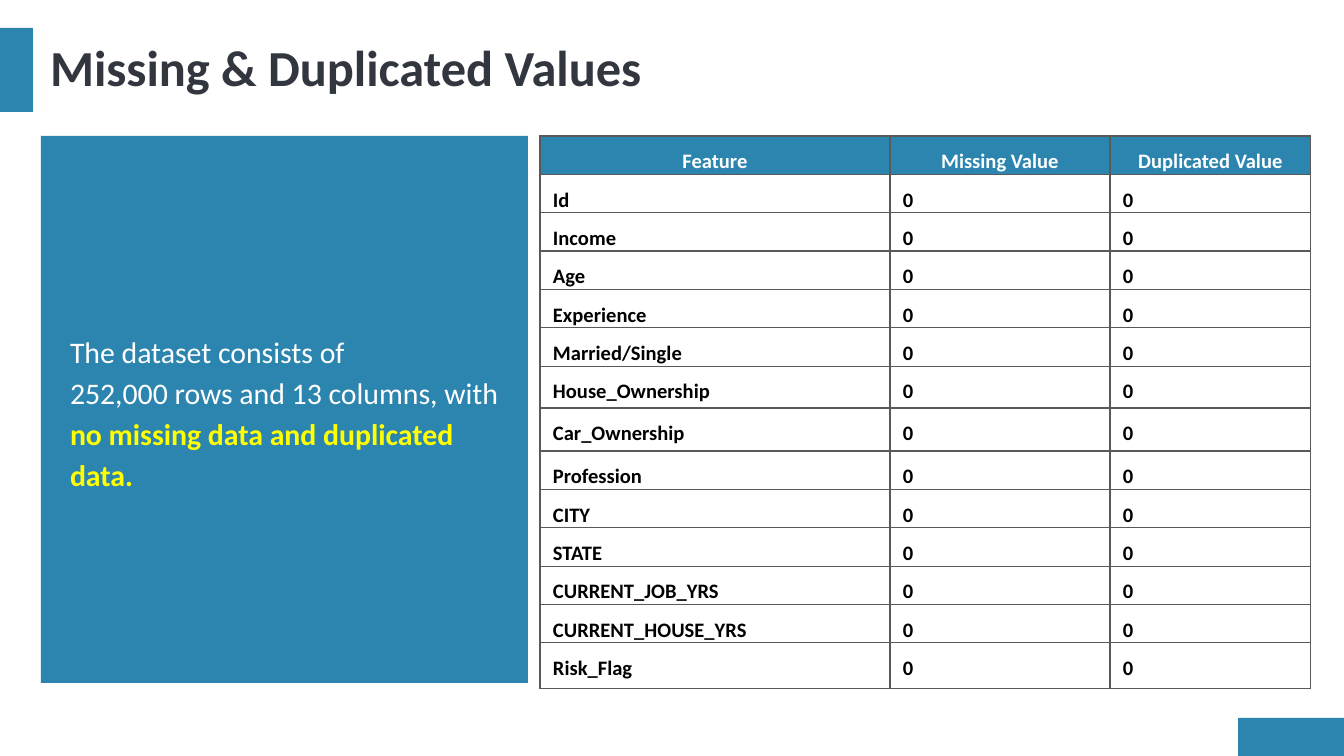
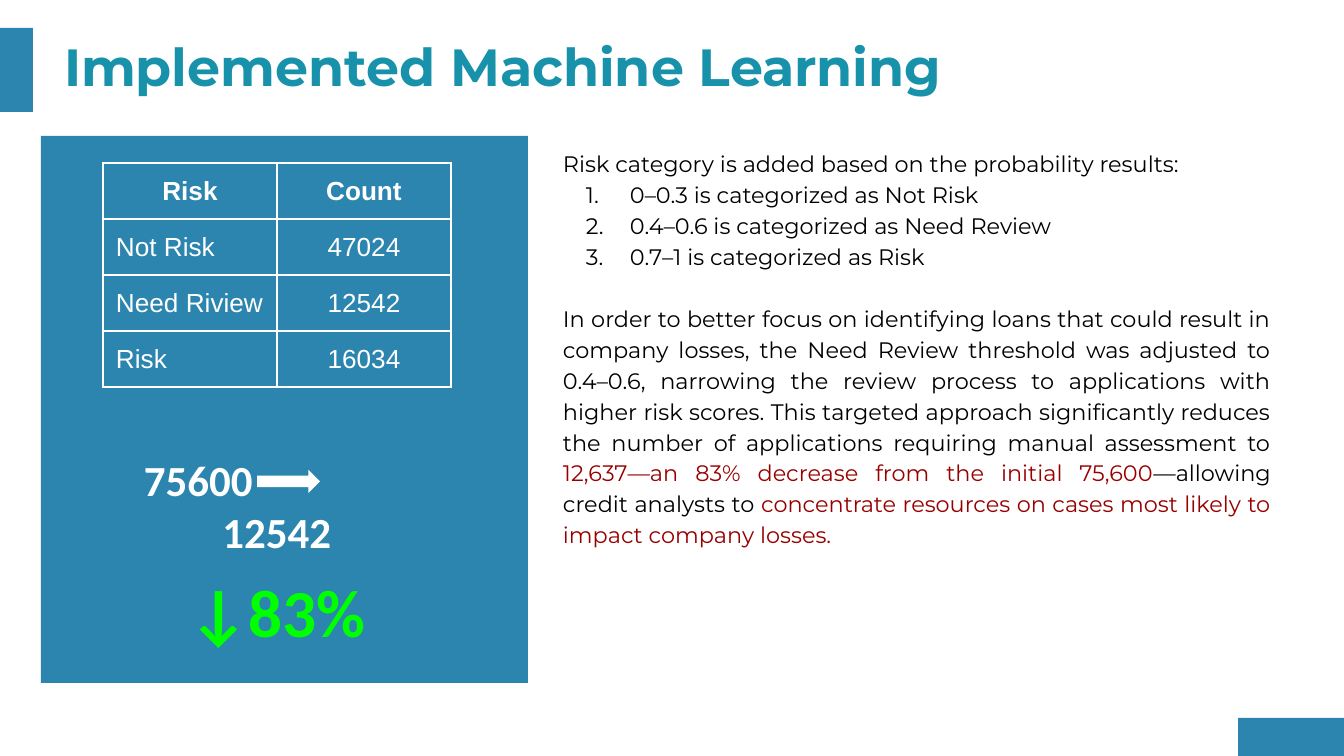
import dataclasses

import lxml.etree
import pptx
import pptx.dml.color
import pptx.enum.shapes
import pptx.enum.text
import pptx.oxml.ns
import pptx.util

EMU_PER_PX = 914400 / 134.4
ALIGN = pptx.enum.text.PP_ALIGN
ANCHOR = pptx.enum.text.MSO_ANCHOR
SHAPE = pptx.enum.shapes.MSO_SHAPE


@dataclasses.dataclass(frozen=True)
class Theme:
    blue: str = "2C85AE"
    teal: str = "1891AB"
    ink: str = "32363F"
    black: str = "000000"
    white: str = "FFFFFF"
    yellow: str = "FFFF00"
    green: str = "00FF00"
    red: str = "980000"
    grid: str = "595959"
    sans: str = "Calibri"
    display: str = "Montserrat"
    plain: str = "Arial"
    title: int = 27
    display_title: int = 28
    summary: int = 16
    explanation: int = 12
    feature_cell: int = 11
    risk_cell: int = 14
    counts: int = 23
    decrease: int = 36
    border: float = 0.75


@dataclasses.dataclass(frozen=True)
class Box:
    left: int
    top: int
    width: int
    height: int

    def inner(self, dx, dy, width, height):
        """Return a box placed relative to this one's top left corner."""
        return Box(self.left + dx, self.top + dy, width, height)

    def emu(self):
        return [px(n) for n in (self.left, self.top, self.width, self.height)]


THEME = Theme()
PAGE = Box(0, 0, 1344, 756)
PANEL = PAGE.inner(41, 136, 487, 547)
BANDS = (PAGE.inner(1238, 718, 106, 38), PAGE.inner(0, 28, 33, 84), PANEL)

FEATURES = ("Id", "Income", "Age", "Experience", "Married/Single",
            "House_Ownership", "Car_Ownership", "Profession", "CITY", "STATE",
            "CURRENT_JOB_YRS", "CURRENT_HOUSE_YRS", "Risk_Flag")
FEATURE_ROWS = [("Feature", "Missing Value", "Duplicated Value"),
                *((feature, "0", "0") for feature in FEATURES)]
RISK_ROWS = [("Risk", "Count"), ("Not Risk", "47024"),
             ("Need Riview", "12542"), ("Risk", "16034")]
CATEGORIES = ("0–0.3 is categorized as Not Risk",
              "0.4–0.6 is categorized as Need Review",
              "0.7–1 is categorized as Risk")


def px(length):
    return pptx.util.Emu(round(length * EMU_PER_PX))


def rgb(colour):
    return pptx.dml.color.RGBColor.from_string(colour)


def sub(parent, tag, **attributes):
    return lxml.etree.SubElement(parent, pptx.oxml.ns.qn(tag), attributes)


def add_block(slide, kind, box, colour):
    block = slide.shapes.add_shape(kind, *box.emu())
    block.shadow.inherit = False
    block.fill.solid()
    block.fill.fore_color.rgb = rgb(colour)
    block.line.fill.background()
    return block


def add_bands(slide):
    """Draw the shared blue bands behind the placeholders."""
    for depth, box in enumerate(BANDS, start=2):
        band = add_block(slide, SHAPE.RECTANGLE, box, THEME.blue)
        slide.shapes._spTree.insert(depth, band._element)


def format_runs(paragraph, font, size, colour, bold=False):
    for run in paragraph.runs:
        run.font.name = font
        run.font.size = pptx.util.Pt(size)
        run.font.bold = bold
        run.font.color.rgb = rgb(colour)


def tint(run, colour, bold=False):
    run.font.color.rgb = rgb(colour)
    run.font.bold = bold


def set_indent(paragraph, left=0, first=0, numbered=False):
    properties = paragraph._p.get_or_add_pPr()
    properties.set("marL", str(px(left)))
    properties.set("indent", str(px(first)))
    if numbered:
        sub(sub(properties, "a:buClr"), "a:srgbClr", val=THEME.black)
        sub(properties, "a:buAutoNum", type="arabicPeriod")
    else:
        sub(properties, "a:buNone")


def set_spacing(paragraph, align, lines, before=0):
    paragraph.alignment = align
    paragraph.line_spacing = lines
    paragraph.space_before = pptx.util.Pt(before)


def set_frame(frame, inset_x, inset_y, anchor):
    frame.word_wrap = True
    frame.auto_size = pptx.enum.text.MSO_AUTO_SIZE.NONE
    frame.vertical_anchor = anchor
    frame.margin_left = frame.margin_right = px(inset_x)
    frame.margin_top = frame.margin_bottom = px(inset_y)


def place(placeholder, box, inset_x, inset_y, anchor):
    placeholder.left, placeholder.top, placeholder.width, placeholder.height = box.emu()
    set_frame(placeholder.text_frame, inset_x, inset_y, anchor)
    return placeholder.text_frame


def fill_title(frame, text, font, size, colour):
    frame.text = text
    heading = frame.paragraphs[0]
    set_spacing(heading, ALIGN.LEFT, 0.9)
    format_runs(heading, font, size, colour, bold=True)


def add_runs(paragraph, texts):
    for text in texts:
        paragraph.add_run().text = text


def draw_borders(cell, colour):
    properties = cell._tc.get_or_add_tcPr()
    for order, side in enumerate(("a:lnL", "a:lnR", "a:lnT", "a:lnB")):
        edge = sub(properties, side, w=str(pptx.util.Pt(THEME.border)))
        sub(sub(edge, "a:solidFill"), "a:srgbClr", val=colour)
        properties.insert(order, edge)


def add_grid(slide, box, rows, columns, heights, border, bottom, anchor, style):
    """Add a table; style(cell, row, column) sets its fills and text."""
    table = slide.shapes.add_table(len(rows), len(columns), *box.emu()).table
    table.first_row = table.horz_banding = False
    for column, width in zip(table.columns, columns):
        column.width = px(width)
    for row, height in zip(table.rows, heights):
        row.height = px(height)
    for r, values in enumerate(rows):
        for c, value in enumerate(values):
            cell = table.cell(r, c)
            cell.text_frame.text = value
            cell.margin_left = cell.margin_right = cell.margin_top = px(13)
            cell.margin_bottom = px(bottom)
            cell.vertical_anchor = anchor
            cell.fill.background()
            style(cell, r, c)
            draw_borders(cell, border)


def style_feature_cell(cell, row, column):
    label = cell.text_frame.paragraphs[0]
    header = row == 0
    if header:
        cell.fill.solid()
        cell.fill.fore_color.rgb = rgb(THEME.blue)
    label.alignment = ALIGN.CENTER if header else ALIGN.LEFT
    format_runs(label, THEME.sans, THEME.feature_cell,
                THEME.white if header else THEME.black, bold=True)


def style_risk_cell(cell, row, column):
    label = cell.text_frame.paragraphs[0]
    label.alignment = ALIGN.CENTER if row == 0 or column else ALIGN.LEFT
    format_runs(label, THEME.plain, THEME.risk_cell, THEME.white, bold=row == 0)


def fill_summary(frame):
    frame.text = "The dataset consists of"
    add_runs(frame.add_paragraph(), ("252,000 rows and 13 columns, with ",
                                     "no missing data and duplicated data."))
    for sentence in frame.paragraphs:
        set_indent(sentence)
        set_spacing(sentence, ALIGN.LEFT, 1.15)
        format_runs(sentence, THEME.sans, THEME.summary, THEME.white)
    tint(frame.paragraphs[-1].runs[-1], THEME.yellow, bold=True)


def fill_explanation(frame):
    frame.text = "Risk category is added based on the probability results:"
    set_indent(frame.paragraphs[0])
    for category in CATEGORIES:
        item = frame.add_paragraph()
        item.text = category
        set_indent(item, 67, -44, numbered=True)
    reasoning = frame.add_paragraph()
    add_runs(reasoning, (
        "In order to better focus on identifying loans that could result in company "
        "losses, the Need Review threshold was adjusted to 0.4–0.6, narrowing the "
        "review process to applications with higher risk scores. This targeted "
        "approach significantly reduces the number of applications requiring manual "
        "assessment to ",
        "12,637—an 83% decrease from the initial 75,600",
        "—allowing credit analysts to ",
        "concentrate resources on cases most likely to impact company losses."))
    set_indent(reasoning)
    for paragraph in frame.paragraphs:
        set_spacing(paragraph, ALIGN.JUSTIFY, 1.15)
        format_runs(paragraph, THEME.display, THEME.explanation, THEME.black)
    reasoning.space_before = pptx.util.Pt(16.8)
    for finding in reasoning.runs[1::2]:
        tint(finding, THEME.red)


def add_decrease(slide, box):
    """Show the fall in applications to review, with an arrow between counts."""
    frame = slide.shapes.add_textbox(*box.emu()).text_frame
    set_frame(frame, 13, 13, ANCHOR.TOP)
    frame.text = "75600\n12542\n↓83%"
    initial, remaining, decrease = frame.paragraphs
    for count in (initial, remaining):
        count.alignment = ALIGN.CENTER
        format_runs(count, THEME.sans, THEME.counts, THEME.white, bold=True)
    initial.alignment = ALIGN.LEFT
    set_indent(initial, 32)
    decrease.alignment = ALIGN.CENTER
    decrease.space_before = pptx.util.Pt(7)
    format_runs(decrease, THEME.sans, THEME.decrease, THEME.green, bold=True)
    add_block(slide, SHAPE.RIGHT_ARROW, box.inner(158, 29, 63, 23), THEME.white)


def add_base_slide(deck):
    slide = deck.slides.add_slide(deck.slide_layouts[1])
    add_bands(slide)
    return slide


def build_values_slide(deck):
    slide = add_base_slide(deck)
    title = place(slide.shapes.title, PAGE.inner(41, 28, 1270, 84), 9, 5, ANCHOR.MIDDLE)
    fill_title(title, "Missing & Duplicated Values", THEME.sans, THEME.title, THEME.ink)
    fill_summary(place(slide.placeholders[1], PANEL.inner(20, 24, 447, 501),
                       9, 5, ANCHOR.MIDDLE))
    heights = [38] * 6 + [42, 43] + [38] * 5 + [46]
    add_grid(slide, PAGE.inner(540, 136, 771, sum(heights)), FEATURE_ROWS,
             (350, 220, 201), heights, THEME.grid, 0, ANCHOR.TOP, style_feature_cell)


def build_learning_slide(deck):
    slide = add_base_slide(deck)
    title = place(slide.shapes.title, PAGE.inner(51, 28, 1241, 85), 13, 13, ANCHOR.TOP)
    fill_title(title, "Implemented Machine Learning", THEME.display,
               THEME.display_title, THEME.teal)
    fill_explanation(place(slide.placeholders[1], PAGE.inner(550, 133, 734, 491),
                           13, 13, ANCHOR.TOP))
    add_grid(slide, PANEL.inner(62, 27, 348, 224), RISK_ROWS, (174, 174), [56] * 4,
             THEME.white, 13, ANCHOR.MIDDLE, style_risk_cell)
    add_decrease(slide, PANEL.inner(58, 305, 356, 167))


def main():
    deck = pptx.Presentation()
    deck.slide_width, deck.slide_height = px(PAGE.width), px(PAGE.height)
    build_values_slide(deck)
    build_learning_slide(deck)
    deck.save("out.pptx")


if __name__ == "__main__":
    main()
